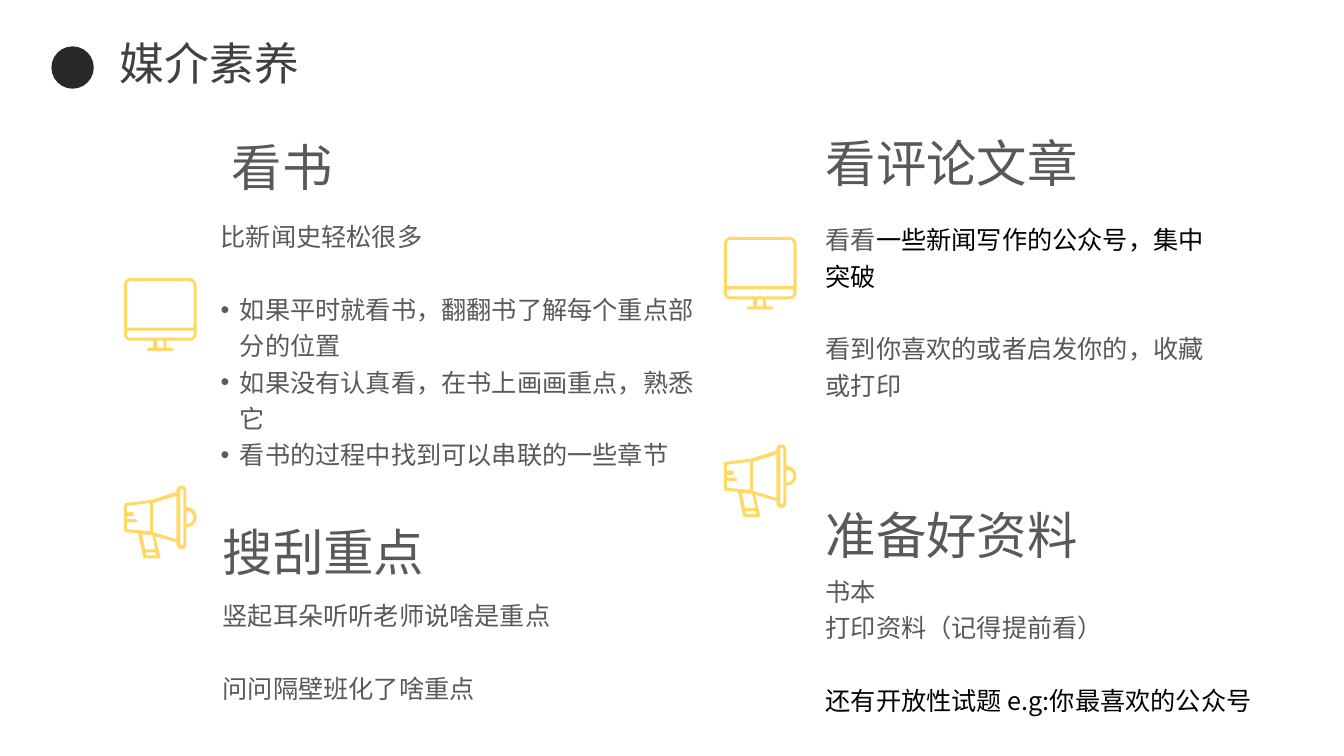
from dataclasses import dataclass

from lxml import etree
from pptx import Presentation
from pptx import util as u
from pptx.dml.color import RGBColor
from pptx.enum import shapes, text
from pptx.oxml.ns import qn


@dataclass(frozen=True)
class Theme:
    dot: str = "292929"
    title: str = "404040"
    body: str = "595959"
    accent: str = "000000"
    icon: str = "FFD966"
    latin: str = "Arial"
    asian: str = "Noto Sans CJK SC"
    title_size: int = 32
    heading_size: int = 36
    body_size: int = 18
    line_spacing: float = 1.2
    gap: int = 26


THEME = Theme()


@dataclass(frozen=True)
class Span:
    words: str
    color: str = THEME.body
    font: str = THEME.latin


@dataclass(frozen=True)
class Para:
    spans: tuple[Span, ...]
    bullet: bool = False
    gap: bool = False


@dataclass(frozen=True)
class Area:
    left: float
    top: float
    width: float
    height: float


@dataclass(frozen=True)
class Section:
    heading: str
    heading_area: Area
    body_area: Area
    paras: tuple[Para, ...]


@dataclass(frozen=True)
class Icon:
    outline: tuple[str, ...]
    left: float
    top: float


def line(words: str, bullet: bool = False, gap: bool = False) -> Para:
    return Para((Span(words),), bullet, gap)


MONITOR = (
    "M 69 49 L 3 49 L 3 7 C 3 5 4 3 6 3 L 65 3 C 67 3 69 5 69 7",
    "M 69 56 C 69 58 67 59 65 59 L 6 59 C 4 59 3 58 3 56 L 3 52 L 69 52",
    "M 39 69 L 33 69 L 33 62 L 39 62",
    "M 65 0 L 6 0 C 3 0 0 3 0 7 L 0 56 C 0 59 3 62 6 62 L 29 62 L 29 69 L 24 69 "
    "C 23 69 23 70 23 71 C 23 71 23 72 24 72 L 47 72 C 48 72 49 71 49 71 "
    "C 49 70 48 69 47 69 L 42 69 L 42 62 L 65 62 C 69 62 72 59 72 56 L 72 7 C 72 3 69 0 65 0",
)
MEGAPHONE = (
    "M 62 38 L 62 25 C 66 25 69 28 69 31 C 69 35 66 38 62 38",
    "M 59 58 C 59 58 58 59 57 59 C 56 59 56 58 56 58 L 56 5 C 56 4 56 3 57 3 C 58 3 59 4 59 5",
    "M 52 53 L 29 46 L 29 17 L 52 10",
    "M 31 66 L 32 69 L 22 69 L 22 66",
    "M 21 63 L 18 48 L 28 49 L 31 63",
    "M 3 43 L 3 36 L 11 36 C 12 36 13 36 13 35 C 13 34 12 33 11 33 L 3 33 L 3 30 L 8 30 "
    "C 9 30 10 29 10 28 C 10 27 9 26 8 26 L 3 26 L 3 20 L 26 17 L 26 45",
    "M 62 21 L 62 5 C 62 2 60 0 57 0 C 54 0 52 2 52 5 L 52 6 L 27 14 L 3 17 C 1 17 0 18 0 20 "
    "L 0 43 C 0 45 1 46 3 46 L 14 47 L 19 71 C 20 72 20 72 21 72 L 34 72 C 35 72 36 72 36 71 "
    "L 36 70 L 31 50 L 52 56 L 52 58 C 52 60 54 63 57 63 C 60 63 62 60 62 58 L 62 41 "
    "C 68 41 72 37 72 31 C 72 26 68 21 62 21",
)
ICONS = tuple(
    Icon(outline, left, top + drop)
    for left, top in ((1.23, 2.76), (7.18, 2.35))
    for outline, drop in ((MONITOR, 0), (MEGAPHONE, 2.06))
)
SECTIONS = (
    Section("看书", Area(2.2, 1.18, 4.01, 0.77), Area(2.09, 2.09, 5.07, 2.61), (
        line("比新闻史轻松很多"),
        line("如果平时就看书，翻翻书了解每个重点部分的位置", bullet=True, gap=True),
        line("如果没有认真看，在书上画画重点，熟悉它", bullet=True),
        line("看书的过程中找到可以串联的一些章节", bullet=True),
    )),
    Section("搜刮重点", Area(2.11, 5, 4.01, 0.77), Area(2.11, 5.85, 4.01, 1.16), (
        line("竖起耳朵听听老师说啥是重点"),
        line("问问隔壁班化了啥重点", gap=True),
    )),
    Section("看评论文章", Area(8.09, 1.14, 4.01, 0.77), Area(8.09, 2.12, 4.01, 1.89), (
        Para((Span("看看"), Span("一些新闻写作的公众号，集中突破", THEME.accent))),
        line("看到你喜欢的或者启发你的，收藏或打印", gap=True),
    )),
    Section("准备好资料", Area(8.09, 4.83, 4.01, 0.77), Area(8.09, 5.61, 4.58, 1.89), (
        line("书本"),
        line("打印资料（记得提前看）"),
        Para((Span("还有开放性试题 e.g:你最喜欢的公众号", THEME.accent, THEME.asian),), gap=True),
    )),
)


def place(shape, area: Area) -> None:
    shape.left, shape.top = u.Inches(area.left), u.Inches(area.top)
    shape.width, shape.height = u.Inches(area.width), u.Inches(area.height)


def add_span(para, words: str, *, size: int, color: str, font: str) -> None:
    span = para.add_run()
    span.text = words
    span.font.size = u.Pt(size)
    span.font.color.rgb = RGBColor.from_string(color)
    span.font.name = font
    etree.SubElement(span.font._element, qn("a:ea"), typeface=THEME.asian)


def write(box, paras: tuple[Para, ...], *, size: int, spacing: float = THEME.line_spacing,
          wrap: bool = True) -> None:
    frame = box.text_frame
    frame.word_wrap = wrap
    frame.auto_size = text.MSO_AUTO_SIZE.SHAPE_TO_FIT_TEXT
    frame.vertical_anchor = text.MSO_ANCHOR.TOP
    for index, item in enumerate(paras):
        para = frame.add_paragraph() if index else frame.paragraphs[0]
        para.alignment = text.PP_ALIGN.LEFT
        para.line_spacing = spacing
        if item.gap:
            para.space_before = u.Pt(THEME.gap)
        if item.bullet:
            props = para._p.get_or_add_pPr()
            indent = u.Inches(0.19)
            props.set("marL", str(indent))
            props.set("indent", str(-indent))
            etree.SubElement(props, qn("a:buFont"), typeface=THEME.latin)
            etree.SubElement(props, qn("a:buChar"), char="•")
        for span in item.spans:
            add_span(para, span.words, size=size, color=span.color, font=span.font)


def paint(shape, color: str) -> None:
    shape.shadow.inherit = False
    shape.fill.solid()
    shape.fill.fore_color.rgb = RGBColor.from_string(color)
    shape.line.fill.background()


def trace(contour: str) -> list[tuple[float, float]]:
    points: list[tuple[float, float]] = []
    for step in contour.replace("L", "|L").replace("C", "|C").split("|"):
        command, *numbers = step.split()
        values = [u.Inches(int(number) / 100) for number in numbers]
        ends = list(zip(values[::2], values[1::2]))
        if command == "C":
            corners = [points[-1], *ends]
            for t in (0.25, 0.5, 0.75, 1):
                weights = ((1 - t) ** 3, 3 * t * (1 - t) ** 2, 3 * t * t * (1 - t), t ** 3)
                x, y = (sum(w * c[axis] for w, c in zip(weights, corners)) for axis in (0, 1))
                points.append((x, y))
        else:
            points += ends
    return points


def draw_icon(page, icon: Icon) -> None:
    contours = [trace(contour) for contour in icon.outline]
    builder = page.shapes.build_freeform(*contours[0][0])
    for index, points in enumerate(contours):
        if index:
            builder.move_to(*points[0])
        builder.add_line_segments(points[1:], close=True)
    paint(builder.convert_to_shape(u.Inches(icon.left), u.Inches(icon.top)), THEME.icon)


def add_text(page, area: Area, paras: tuple[Para, ...], size: int) -> None:
    box = page.shapes.add_textbox(0, 0, 0, 0)
    place(box, area)
    write(box, paras, size=size)


def main() -> None:
    deck = Presentation()
    deck.slide_width, deck.slide_height = u.Inches(13.33), u.Inches(7.5)
    page = deck.slides.add_slide(deck.slide_layouts[5])
    title = page.shapes.title
    place(title, Area(1.09, 0.3, 2, 0.64))
    write(title, (Para((Span("媒介素养", THEME.title),)),), size=THEME.title_size, spacing=1.0, wrap=False)
    dot = page.shapes.add_shape(shapes.MSO_SHAPE.OVAL, 0, 0, 0, 0)
    place(dot, Area(0.51, 0.46, 0.42, 0.42))
    paint(dot, THEME.dot)
    for icon in ICONS:
        draw_icon(page, icon)
    for section in SECTIONS:
        add_text(page, section.heading_area, (line(section.heading),), THEME.heading_size)
        add_text(page, section.body_area, section.paras, THEME.body_size)
    deck.save("out.pptx")


if __name__ == "__main__":
    main()
